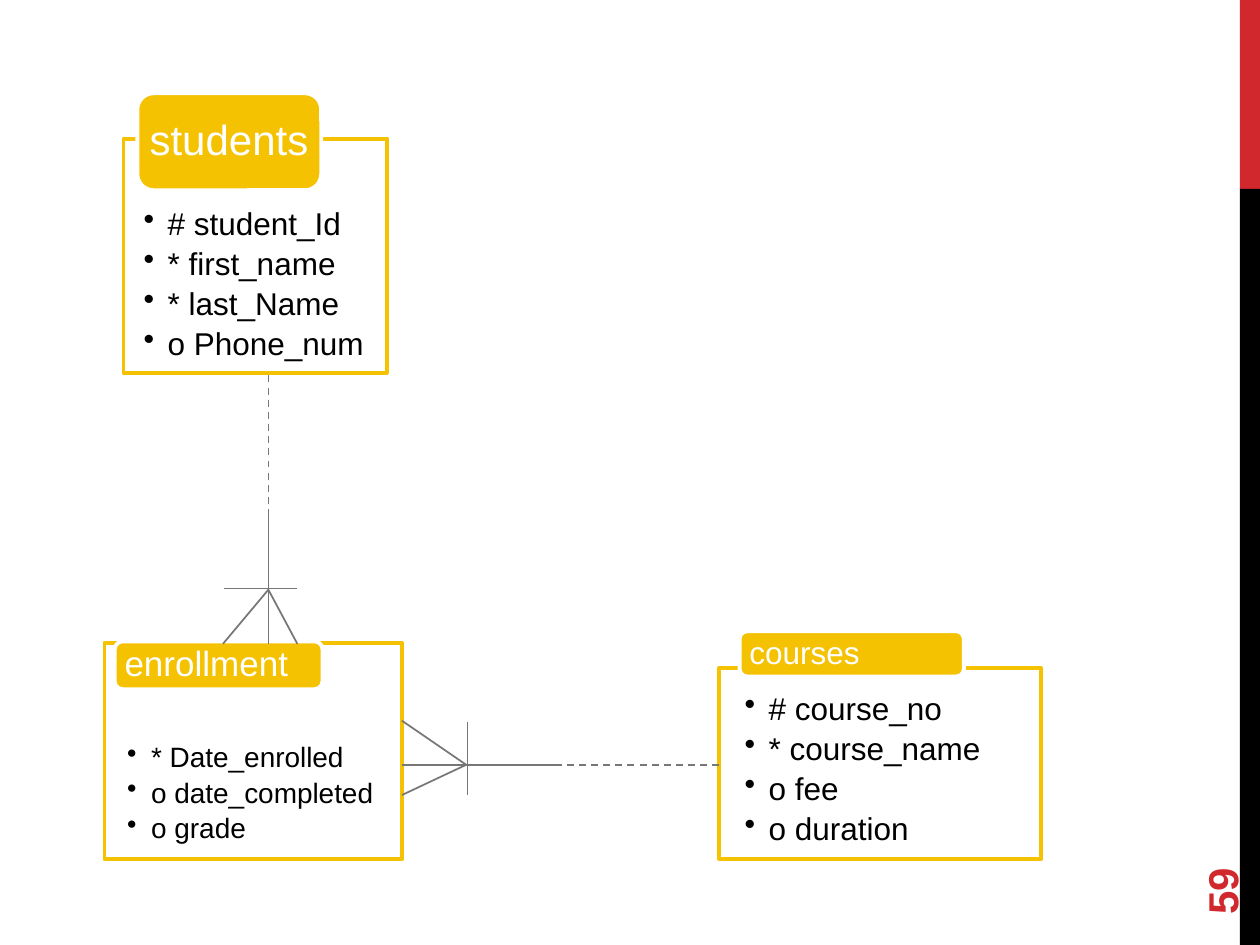
"""Build an entity-relationship slide linking students, enrollment and courses."""
from lxml import etree
from pptx import Presentation
from pptx import util as u
from pptx.dml.color import RGBColor
from pptx.enum import dml, shapes, text
from pptx.oxml.ns import qn

WHITE = RGBColor(0xFF, 0xFF, 0xFF)
BLACK = RGBColor(0, 0, 0)
RED = RGBColor(0xD1, 0x28, 0x2E)
GOLD = RGBColor(0xF5, 0xC2, 0x01)
GREY = RGBColor(0x77, 0x77, 0x77)


def write_text(frame, lines, *, size, color, font="Arial", bold=False, bullet=False,
               insets=(0.1, 0.05, 0.1, 0.05), anchor=text.MSO_ANCHOR.MIDDLE):
    frame.word_wrap = True
    frame.vertical_anchor = anchor
    (frame.margin_left, frame.margin_top,
     frame.margin_right, frame.margin_bottom) = map(u.Inches, insets)
    for index, line in enumerate(lines.split("\n")):
        paragraph = frame.paragraphs[0] if index == 0 else frame.add_paragraph()
        paragraph.alignment = text.PP_ALIGN.LEFT
        paragraph.line_spacing = 0.9
        if bullet:
            paragraph.level = 1
            paragraph.space_after = u.Pt(0.19 * size)
            props = paragraph._p.get_or_add_pPr()
            props.set("marL", str(u.Inches(0.19)))
            props.set("indent", str(u.Inches(-0.19)))
            etree.SubElement(props, qn("a:buChar")).set("char", "•")
        run = paragraph.add_run()
        run.text = line
        run.font.name = font
        run.font.size = u.Pt(size)
        run.font.bold = bold
        run.font.color.rgb = color


class Diagram:
    """Holds the line styling and the slide being drawn."""

    def __init__(self, slide, border=2.25, link=1):
        self.slide = slide
        self.border = border
        self.link = link

    def box(self, at, fill, outline=None, preset=shapes.MSO_SHAPE.RECTANGLE, opacity=None):
        panel = self.slide.shapes.add_shape(preset, *map(u.Inches, at))
        panel.shadow.inherit = False
        panel.fill.solid()
        panel.fill.fore_color.rgb = fill
        if opacity:
            color = panel.fill._xPr.find(qn("a:solidFill"))[0]
            etree.SubElement(color, qn("a:alpha")).set("val", str(opacity * 1000))
        if outline is None:
            panel.line.fill.background()
        else:
            panel.line.color.rgb = outline
            panel.line.width = u.Pt(self.border)
        return panel

    def entity(self, name, attributes, body, tab, name_size, size, insets):
        panel = self.box(body, WHITE, GOLD, opacity=90)
        write_text(panel.text_frame, attributes, size=size, color=BLACK, bullet=True,
                   insets=insets, anchor=text.MSO_ANCHOR.TOP)
        label = self.box(tab, GOLD, WHITE, shapes.MSO_SHAPE.ROUNDED_RECTANGLE)
        write_text(label.text_frame, name, size=name_size, color=WHITE,
                   insets=(0.06, 0, 0.04, 0))

    def line(self, start, end, dashed=False):
        link = self.slide.shapes.add_connector(
            shapes.MSO_CONNECTOR.STRAIGHT, *map(u.Inches, (*start, *end)))
        link.line.color.rgb = GREY
        link.line.width = u.Pt(self.link)
        if dashed:
            link.line.dash_style = dml.MSO_LINE.DASH
        etree.SubElement(link._element.spPr, qn("a:effectLst"))

    def relationship(self, one, middle, many, fork, toes, bar):
        self.line(middle, many)
        for toe in toes:
            self.line(toe, fork)
        self.line(one, middle, dashed=True)
        self.line(*bar)

    def page_number(self, number, at):
        holder = self.slide.shapes.add_textbox(*map(u.Inches, at))
        holder.rotation = 270
        write_text(holder.text_frame, number, size=24, color=RED, bold=True)


def main():
    deck = Presentation()
    deck.slide_width, deck.slide_height = u.Inches(10), u.Inches(7.5)
    diagram = Diagram(deck.slides.add_slide(deck.slide_layouts[6]))

    diagram.box((9.84, 0, 0.16, 1.5), RED)
    diagram.box((9.84, 1.5, 0.16, 6), BLACK)
    diagram.page_number("59", (9, 6.44, 1.44, 0.4))

    diagram.entity("students", "# student_Id\n* first_name\n* last_Name\no Phone_num",
                   body=(0.98, 1.1, 2.09, 1.86), tab=(1.09, 0.74, 1.46, 0.77),
                   name_size=24, size=18, insets=(0.16, 0.55, 0.16, 0.14))
    diagram.entity("enrollment", "* Date_enrolled\no date_completed\no grade",
                   body=(0.83, 5.1, 2.36, 1.72), tab=(0.91, 5.09, 1.65, 0.38),
                   name_size=20, size=16, insets=(0.18, 0.8, 0.18, 0.12))
    diagram.entity("courses", "# course_no\n* course_name\no fee\no duration",
                   body=(5.71, 5.3, 2.55, 1.52), tab=(5.87, 5.01, 1.78, 0.36),
                   name_size=18, size=18, insets=(0.2, 0.2, 0.2, 0.14))

    diagram.relationship(one=(2.13, 2.98), middle=(2.13, 4.05), many=(2.13, 5.11),
                         fork=(2.13, 4.68), toes=[(1.77, 5.11), (2.36, 5.11)],
                         bar=((2.36, 4.67), (1.78, 4.67)))
    diagram.relationship(one=(5.71, 6.07), middle=(4.45, 6.07), many=(3.19, 6.07),
                         fork=(3.7, 6.07), toes=[(3.19, 5.72), (3.19, 6.31)],
                         bar=((3.71, 6.31), (3.71, 5.73)))
    deck.save("out.pptx")


if __name__ == "__main__":
    main()
